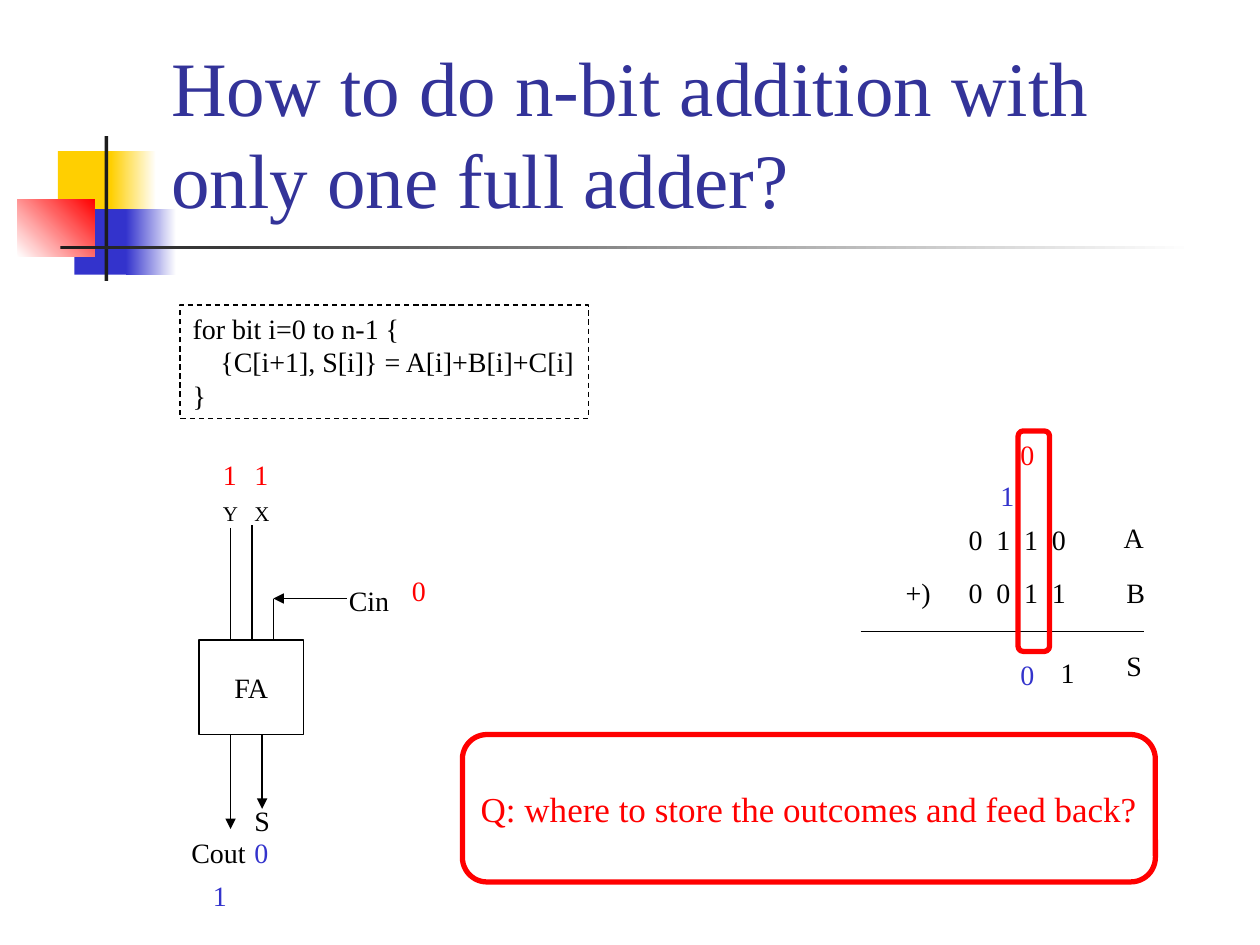
"""Build the slide on n-bit addition with a single full adder."""
from lxml.etree import SubElement
from pptx import Presentation
from pptx.dml.color import RGBColor
from pptx.enum.dml import MSO_LINE_DASH_STYLE as DASH
from pptx.enum.shapes import MSO_CONNECTOR, MSO_SHAPE
from pptx.enum.text import MSO_ANCHOR, PP_ALIGN
from pptx.oxml.ns import qn
from pptx.util import Inches, Pt

BLACK = RGBColor(0x00, 0x00, 0x00)
WHITE = RGBColor(0xFF, 0xFF, 0xFF)
CHARCOAL = RGBColor(0x1C, 0x1C, 0x1C)
RED = RGBColor(0xFF, 0x00, 0x00)
BLUE = RGBColor(0x33, 0x33, 0xCC)
NAVY = RGBColor(0x33, 0x33, 0x99)
YELLOW = RGBColor(0xFF, 0xCF, 0x01)
DIGIT_PITCH = 0.22

presentation = Presentation()
presentation.slide_width = Inches(10)
presentation.slide_height = Inches(7.5)
slide = presentation.slides.add_slide(presentation.slide_layouts[6])


def write(shape, text, size, color, wrap=False, anchor=MSO_ANCHOR.TOP, align=PP_ALIGN.LEFT):
    frame = shape.text_frame
    frame.text = text
    frame.word_wrap = wrap
    frame.vertical_anchor = anchor
    for paragraph in frame.paragraphs:
        paragraph.alignment = align
        if "\t" in text:
            tabs = SubElement(paragraph._p.get_or_add_pPr(), qn("a:tabLst"))
            for stop in range(1, 4):
                SubElement(tabs, qn("a:tab"), pos=str(Inches(stop * DIGIT_PITCH)), algn="l")
        font_format = {"name": "Times New Roman", "size": Pt(size)}
        for name, value in font_format.items():
            setattr(paragraph.font, name, value)
        paragraph.font.color.rgb = color


def add_box(kind, left, top, width, height, line_color=None, line_width=0.75):
    shape = slide.shapes.add_shape(kind, Inches(left), Inches(top), Inches(width), Inches(height))
    shape.shadow.inherit = False
    shape.fill.background()
    if line_color is None:
        shape.line.fill.background()
    else:
        shape.line.color.rgb = line_color
        shape.line.width = Pt(line_width)
    return shape


ornaments = [
    (0.46, 1.2, 0.48, 0.52, YELLOW, YELLOW, 0),
    (0.88, 1.2, 0.36, 0.52, YELLOW, WHITE, 0),
    (0.59, 1.66, 0.46, 0.52, BLUE, BLUE, 0),
    (1, 1.66, 0.4, 0.52, BLUE, WHITE, 0),
    (0.14, 1.58, 0.61, 0.46, WHITE, RED, 45),
    (0.83, 1.08, 0.03, 1.15, CHARCOAL, CHARCOAL, 0),
    (0.48, 1.95, 9, 0.03, CHARCOAL, WHITE, 0),
]
for left, top, width, height, start, end, angle in ornaments:
    ornament = add_box(MSO_SHAPE.RECTANGLE, left, top, width, height)
    if start == end:
        ornament.fill.solid()
        ornament.fill.fore_color.rgb = start
    else:
        ornament.fill.gradient()
        ornament.fill.gradient_angle = angle
        for stop, color in zip(ornament.fill.gradient_stops, (start, end)):
            stop.color.rgb = color

title = slide.shapes.add_textbox(Inches(1.26), Inches(0.23), Inches(8.52), Inches(1.6))
write(title, "How to do n-bit addition with only one full adder?", 44, NAVY, True, MSO_ANCHOR.BOTTOM)

code = add_box(MSO_SHAPE.RECTANGLE, 1.43, 2.42, 3.24, 0.9, BLACK)
code.line.dash_style = DASH.DASH
write(code, "for bit i=0 to n-1 {\n    {C[i+1], S[i]} = A[i]+B[i]+C[i]\n}", 16, BLACK)

adder = add_box(MSO_SHAPE.RECTANGLE, 1.58, 5.08, 0.83, 0.75, BLACK)
write(adder, "FA", 16, BLACK, anchor=MSO_ANCHOR.MIDDLE, align=PP_ALIGN.CENTER)

wires = [
    (6.83, 5.01, 9.08, 5.01, False),
    (1.83, 4.19, 1.83, 5.08, False),
    (2, 4.17, 2, 5.08, False),
    (2.17, 4.75, 2.17, 5.08, False),
    (2.75, 4.75, 2.17, 4.75, True),
    (1.83, 5.83, 1.83, 6.58, True),
    (2.08, 5.83, 2.08, 6.42, True),
]
for x1, y1, x2, y2, has_arrow in wires:
    wire = slide.shapes.add_connector(
        MSO_CONNECTOR.STRAIGHT, Inches(x1), Inches(y1), Inches(x2), Inches(y2))
    wire.line.color.rgb = BLACK
    wire.line.width = Pt(0.75)
    if has_arrow:
        SubElement(wire.line._get_or_add_ln(), qn("a:tailEnd"), type="triangle")
    SubElement(wire._element.spPr, qn("a:effectLst"))

bit_column = add_box(MSO_SHAPE.ROUNDED_RECTANGLE, 8.08, 3.42, 0.25, 1.75, RED, 3)

labels = [
    ("0\t1\t1\t0", 7.59, 4.1, 0.97, 16, BLACK),
    ("0\t0\t1\t1", 7.59, 4.52, 0.97, 16, BLACK),
    ("+)", 7.09, 4.52, 0.4, 16, BLACK),
    ("A", 8.82, 4.08, 0.36, 16, BLACK),
    ("B", 8.84, 4.52, 0.35, 16, BLACK),
    ("S", 8.84, 5.1, 0.32, 16, BLACK),
    ("X", 1.92, 3.92, 0.32, 12, BLACK),
    ("Y", 1.67, 3.92, 0.32, 12, BLACK),
    ("S", 1.92, 6.33, 0.32, 16, BLACK),
    ("Cin", 2.67, 4.58, 0.52, 16, BLACK),
    ("Cout", 1.42, 6.58, 0.63, 16, BLACK),
    ("1", 1.92, 3.58, 0.31, 16, RED),
    ("1", 1.67, 3.58, 0.31, 16, RED),
    ("0", 3.17, 4.5, 0.31, 16, RED),
    ("1", 8.32, 5.15, 0.31, 16, BLACK),
    ("0", 8, 3.42, 0.31, 16, RED),
    ("1", 1.59, 6.92, 0.31, 16, BLUE),
    ("0", 1.92, 6.58, 0.31, 16, BLUE),
    ("0", 8, 5.17, 0.31, 16, BLUE),
    ("1", 7.84, 3.75, 0.31, 16, BLUE),
]
for text, left, top, width, size, color in labels:
    height = 0.37 if size == 16 else 0.3
    label = slide.shapes.add_textbox(Inches(left), Inches(top), Inches(width), Inches(height))
    write(label, text, size, color)

question = add_box(MSO_SHAPE.ROUNDED_RECTANGLE, 3.67, 5.83, 5.5, 1.17, RED, 3)
write(question, "Q: where to store the outcomes and feed back?", 20, RED,
      anchor=MSO_ANCHOR.MIDDLE, align=PP_ALIGN.CENTER)

presentation.save("out.pptx")
